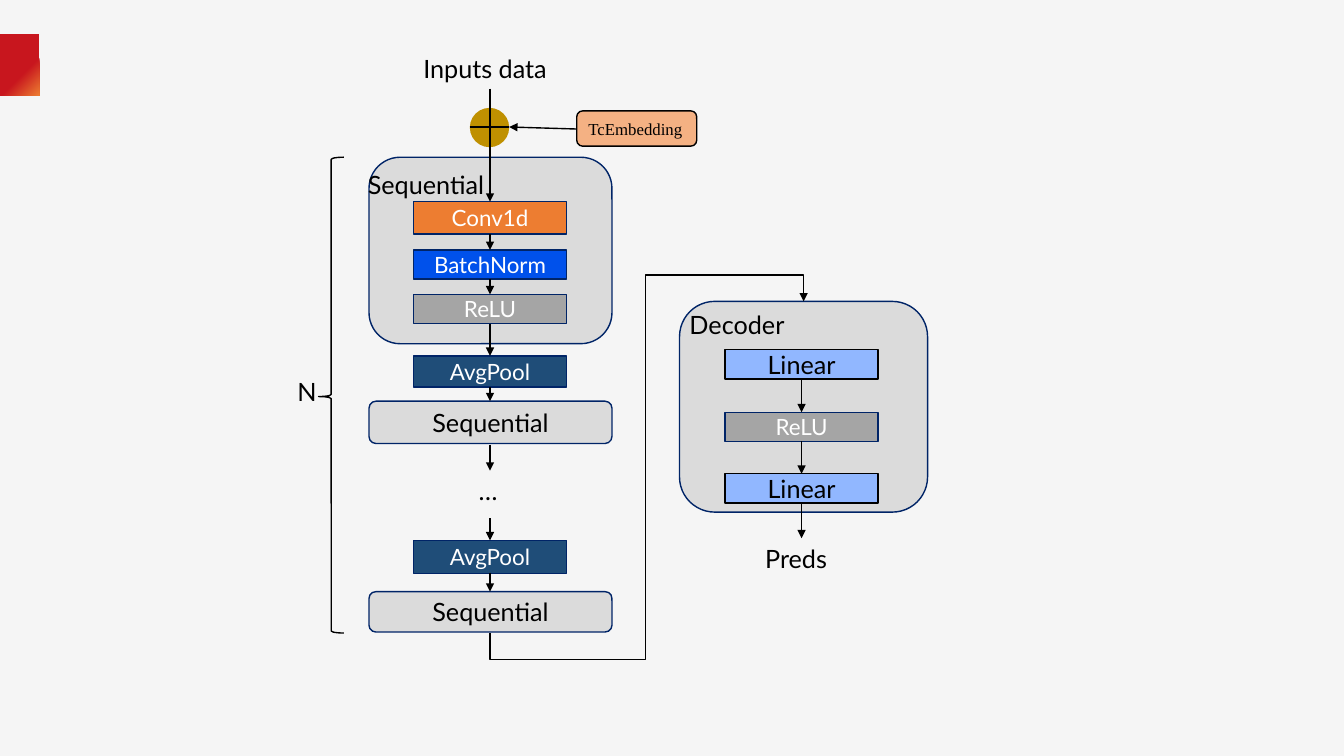
from dataclasses import dataclass

from lxml import etree
from pptx import Presentation
from pptx.dml.color import RGBColor
from pptx.enum import shapes, text
from pptx.oxml import ns
from pptx.util import Inches, Pt

KIND = shapes.MSO_SHAPE
LINK = shapes.MSO_CONNECTOR
ALIGN = text.PP_ALIGN
BLACK, WHITE, NAVY = "000000", "FFFFFF", "002467"
PANEL, GREY, STEEL, SKY = "DBDBDB", "A5A5A5", "1F4D78", "91B7FF"
FLOW = 4.86  # centre line of the encoder column
HEAD = 7.95  # centre line of the decoder column
LAYER = 1.52
BLOCK = 2.41


@dataclass
class Box:
    left: float
    top: float
    width: float
    height: float
    fill: str = ""
    line: str = ""
    label: str = ""
    ink: str = BLACK
    size: int = 18
    kind: KIND = KIND.RECTANGLE
    font: str = "Lato"
    align: ALIGN = ALIGN.CENTER


@dataclass
class Note:
    left: float
    top: float
    width: float
    label: str
    height: float = 0.4
    wrap: bool = True


def color(code: str) -> RGBColor:
    return RGBColor.from_string(code)


def write(frame, label: str, size: int, ink: str, font: str, align: ALIGN) -> None:
    para = frame.paragraphs[0]
    para.text = label
    para.alignment = align
    para.font.size = Pt(size)
    para.font.name = font
    para.font.color.rgb = color(ink)


def draw_box(slide, box: Box):
    shape = slide.shapes.add_shape(
        box.kind, *map(Inches, (box.left, box.top, box.width, box.height)))
    shape.shadow.inherit = False
    if box.fill:
        shape.fill.solid()
        shape.fill.fore_color.rgb = color(box.fill)
    else:
        shape.fill.background()
    if box.line:
        shape.line.color.rgb = color(box.line)
        shape.line.width = Pt(1)
    else:
        shape.line.fill.background()
    if box.label:
        shape.text_frame.vertical_anchor = text.MSO_ANCHOR.MIDDLE
        write(shape.text_frame, box.label, box.size, box.ink, box.font, box.align)
    return shape


def draw_note(slide, note: Note) -> None:
    area = slide.shapes.add_textbox(
        *map(Inches, (note.left, note.top, note.width, note.height)))
    area.text_frame.word_wrap = note.wrap
    write(area.text_frame, note.label, 18, BLACK, "Lato", ALIGN.LEFT)


def draw_link(slide, ends: tuple, kind: LINK = LINK.STRAIGHT, arrow: bool = True):
    link = slide.shapes.add_connector(kind, *map(Inches, ends))
    link.line.color.rgb = color(BLACK)
    link.line.width = Pt(1)
    if arrow:
        line = link.line._get_or_add_ln()
        etree.SubElement(line, ns.qn("a:tailEnd"), type="triangle")
    etree.SubElement(link._element.spPr, ns.qn("a:effectLst"))
    return link


def draw_route(slide) -> None:
    """Five-part elbow from the last encoder block to the decoder."""
    link = draw_link(slide, (8.06, 6.19, 4.77, 3.08), LINK.ELBOW)
    props = link._element.spPr
    props.find(ns.qn("a:xfrm")).set("rot", str(90 * 60000))
    shape = props.find(ns.qn("a:prstGeom"))
    shape.set("prst", "bentConnector5")
    guides = shape.find(ns.qn("a:avLst"))
    if guides is None:
        guides = etree.SubElement(shape, ns.qn("a:avLst"))
    for num, value in enumerate((-7900, 49600, 107900), 1):
        etree.SubElement(guides, ns.qn("a:gd"), name=f"adj{num}", fmla=f"val {value}")


def draw_tab(slide) -> None:
    tab = draw_box(slide, Box(0, 0.34, 0.39, 0.61))
    tab.fill.gradient()
    tab.fill.gradient_angle = 315
    stops = ((0.62, "C8161E"), (1, "ED7D31"))
    for stop, (place, code) in zip(tab.fill.gradient_stops, stops):
        stop.position = place
        stop.color.rgb = color(code)


def layer(mid: float, top: float, height: float, label: str, fill: str) -> Box:
    pale = fill == SKY
    return Box(mid - LAYER / 2, top, LAYER, height, fill, BLACK if pale else NAVY,
               label, BLACK if pale else WHITE, 18 if pale else 16)


def block(top: float, height: float, label: str = "") -> Box:
    return Box(3.66, top, BLOCK, height, PANEL, NAVY, label,
               kind=KIND.ROUNDED_RECTANGLE)


BOXES = [
    Box(6.74, 2.99, 2.46, 2.09, PANEL, NAVY, kind=KIND.ROUNDED_RECTANGLE),
    Box(4.66, 1.07, 0.39, 0.39, "BF9000", kind=KIND.OVAL),
    block(1.56, 1.85),
    layer(FLOW, 2, 0.32, "Conv1d", "ED7D31"),
    layer(FLOW, 2.48, 0.29, "BatchNorm", "0051EB"),
    layer(FLOW, 2.92, 0.29, "ReLU", GREY),
    layer(FLOW, 3.53, 0.31, "AvgPool", STEEL),
    block(3.98, 0.42, "Sequential"),
    layer(FLOW, 5.36, 0.33, "AvgPool", STEEL),
    block(5.87, 0.4, "Sequential"),
    layer(HEAD, 3.47, 0.29, "Linear", SKY),
    layer(HEAD, 4.09, 0.29, "ReLU", GREY),
    layer(HEAD, 4.7, 0.29, "Linear", SKY),
    Box(5.72, 1.1, 1.19, 0.35, "F4B183", BLACK, "TcEmbedding", size=12,
        kind=KIND.ROUNDED_RECTANGLE, font="Times New Roman", align=ALIGN.JUSTIFY),
]
NOTES = [
    Note(4.1, 0.48, LAYER, "Inputs data"),
    Note(7.49, 5.34, 0.92, "Preds"),
    Note(2.85, 3.68, 0.39, "N", wrap=False),
    Note(3.55, 1.63, 1.47, "Sequential"),
    Note(4.65, 4.67, 0.44, "…", 0.47, False),
    Note(6.74, 3.02, 1.47, "Decoder"),
]
DROPS = {
    FLOW: [(0.88, 2), (2.32, 2.48), (2.77, 2.92), (3.21, 3.53), (3.84, 3.98),
           (4.41, 4.67), (5.14, 5.36), (5.68, 5.87)],
    HEAD: [(3.77, 4.09), (4.38, 4.7), (4.99, 5.34)],
}


def main() -> None:
    deck = Presentation()
    deck.slide_width, deck.slide_height = Inches(13.33), Inches(7.5)
    slide = deck.slides.add_slide(deck.slide_layouts[6])
    slide.background.fill.solid()
    slide.background.fill.fore_color.rgb = color("F5F5F5")

    draw_tab(slide)
    for box in BOXES:
        draw_box(slide, box)
    brace = draw_box(slide, Box(3.16, 1.56, 0.25, 4.72, line=BLACK, kind=KIND.LEFT_BRACE))
    brace.adjustments[0], brace.adjustments[1] = 0.083, 0.503
    for mid, spans in DROPS.items():
        for start, end in spans:
            draw_link(slide, (mid, start, mid, end))
    draw_link(slide, (5.72, 1.28, 5.05, 1.26))
    draw_link(slide, (4.66, 1.26, 5.05, 1.26), arrow=False)
    draw_route(slide)
    for note in NOTES:
        draw_note(slide, note)
    deck.save("out.pptx")


if __name__ == "__main__":
    main()
